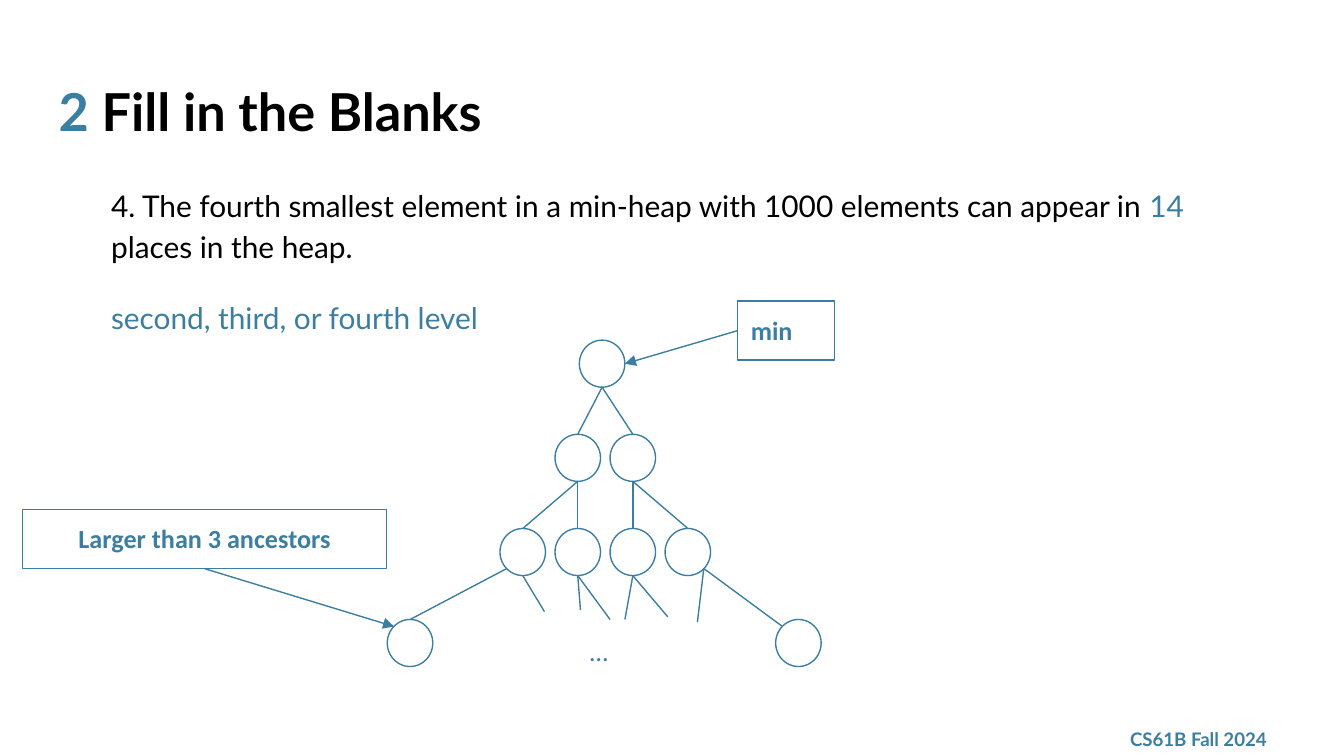
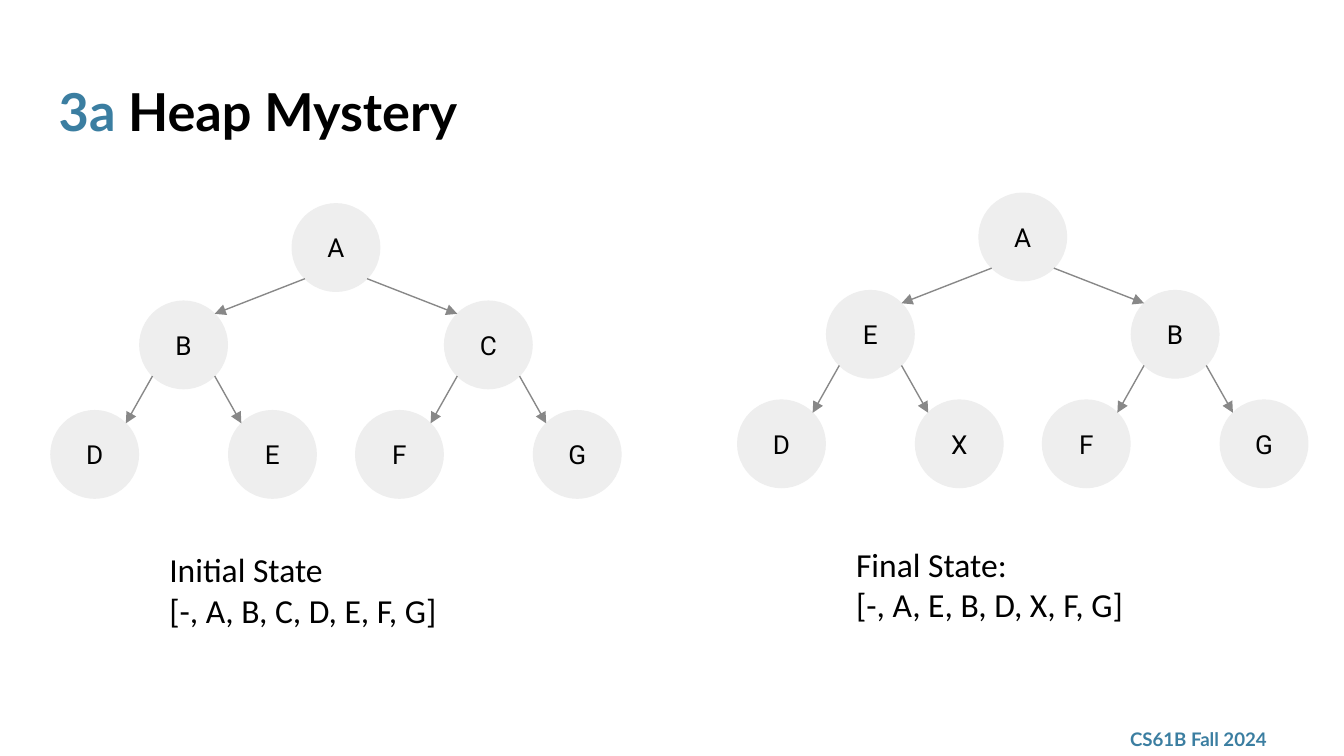
from dataclasses import dataclass

from lxml.etree import SubElement
from pptx import Presentation
from pptx.dml.color import RGBColor
from pptx.enum.shapes import MSO_CONNECTOR as Connector, MSO_SHAPE as Shape
from pptx.enum.text import MSO_ANCHOR as Anchor, MSO_AUTO_SIZE as AutoSize, PP_ALIGN as Align
from pptx.oxml.ns import qn
from pptx.util import Cm, Pt


@dataclass(frozen=True)
class Style:
    font: str
    size: int
    bold: bool = False


@dataclass(frozen=True)
class Theme:
    # Colours
    accent: str = "3B7EA1"
    ink: str = "000000"
    node: str = "EEEEEE"
    arrow: str = "888888"
    # Type
    title: Style = Style("Lato", 28, True)
    body: Style = Style("Lato", 16)
    footer: Style = Style("Lato", 10, True)
    note: Style = Style("Calibri", 14)
    callout: Style = Style("Calibri", 14, True)
    caption: Style = Style("Calibri", 18)
    key: Style = Style("Roboto", 14)
    # Measures
    line: float = 0.75
    inset: float = 0.25


THEME = Theme()

# Connection points as fractions of a shape's width and height
RIM = {
    "top": (0.5, 0), "bottom": (0.5, 1), "left": (0, 0.5), "right": (1, 0.5),
    "top left": (0.15, 0.15), "top right": (0.85, 0.15),
    "bottom left": (0.15, 0.85), "bottom right": (0.85, 0.85),
}


# Text

def write(text_frame, paragraphs, style, align=Align.LEFT, anchor=Anchor.TOP):
    """Fill a frame; each paragraph is a list of (text, colour) runs."""
    text_frame.word_wrap = True
    text_frame.auto_size = AutoSize.NONE
    text_frame.vertical_anchor = anchor
    text_frame.margin_left = text_frame.margin_right = Cm(THEME.inset)
    text_frame.margin_top = text_frame.margin_bottom = Cm(THEME.inset)
    for index, runs in enumerate(paragraphs):
        paragraph = text_frame.add_paragraph() if index else text_frame.paragraphs[0]
        paragraph.alignment = align
        for text, colour in runs:
            run = paragraph.add_run()
            run.text = text
            run.font.name = style.font
            run.font.size = Pt(style.size)
            run.font.bold = style.bold
            run.font.color.rgb = RGBColor.from_string(colour)


def place(shape, left, top, width, height):
    shape.left, shape.top = Cm(left), Cm(top)
    shape.width, shape.height = Cm(width), Cm(height)


def add_title(slide, number, text):
    place(slide.shapes.title, 0.86, 1.24, 23.67, 1.6)
    runs = [(number, THEME.accent), (f" {text}", THEME.ink)]
    write(slide.shapes.title.text_frame, [runs], THEME.title)


def add_body(slide, paragraphs):
    body = slide.placeholders[1]
    place(body, 1.85, 3.2, 21.01, 3.38)
    write(body.text_frame, paragraphs, THEME.body)
    for index, paragraph in enumerate(body.text_frame.paragraphs):
        paragraph.line_spacing = 1.15
        paragraph.space_before = paragraph.space_after = Pt(16 if index else 0)
        properties = paragraph._p.get_or_add_pPr()
        properties.set("marL", "0")
        properties.set("indent", "0")
        SubElement(properties, qn("a:buNone"))


def add_text(slide, box, lines, style, colour, anchor=Anchor.TOP):
    text_box = slide.shapes.add_textbox(*map(Cm, box))
    write(text_box.text_frame, [[(line, colour)] for line in lines], style, anchor=anchor)
    return text_box


def add_master_footer(presentation, slide, text):
    """Build the footer once and hand it over to the slide master."""
    footer = add_text(slide, (21.11, 13.64, 3.43, 0.66), [text],
                      THEME.footer, THEME.accent, Anchor.MIDDLE)
    footer.element.nvSpPr.cNvPr.set("id", "20")
    master_shapes = presentation.slide_master.shapes.element
    master_shapes.insert_element_before(footer.element, "p:extLst")


# Shapes and lines

def add_figure(slide, kind, box, fill=None, line=None):
    shape = slide.shapes.add_shape(kind, *map(Cm, box))
    shape.shadow.inherit = False
    if fill:
        shape.fill.solid()
        shape.fill.fore_color.rgb = RGBColor.from_string(fill)
    else:
        shape.fill.background()
    if line:
        shape.line.color.rgb = RGBColor.from_string(line)
        shape.line.width = Pt(THEME.line)
    else:
        shape.line.fill.background()
    return shape


def add_callout(slide, box, text, align=Align.LEFT):
    callout = add_figure(slide, Shape.RECTANGLE, box, line=THEME.accent)
    write(callout.text_frame, [[(text, THEME.accent)]], THEME.callout, align)
    return callout


def rim(shape, side):
    across, down = RIM[side]
    return int(shape.left + across * shape.width), int(shape.top + down * shape.height)


def add_line(slide, start, end, colour, arrow=False):
    connector = slide.shapes.add_connector(Connector.STRAIGHT, *start, *end)
    connector.line.color.rgb = RGBColor.from_string(colour)
    connector.line.width = Pt(THEME.line)
    properties = connector.element.spPr
    if arrow:
        SubElement(properties.find(qn("a:ln")), qn("a:tailEnd"), type="triangle")
    SubElement(properties, qn("a:effectLst"))


# Diagrams

def add_heap_levels(slide):
    """Outline of the top four levels of a large min-heap."""
    width, height, first_column, first_row = 0.86, 0.89, 9.45, 6.43
    column_step, row_step = 1.04, 1.78

    def add_node(left, top):
        return add_figure(slide, Shape.OVAL, (left, top, width, height), line=THEME.accent)

    def add_row(row, columns):
        return [add_node(first_column + column * column_step, first_row + row * row_step)
                for column in columns]

    root = add_node(10.95, first_row)
    second = add_row(1, (1, 2))
    third = add_row(2, range(4))
    left_leaf, right_leaf = (add_node(left, 11.71) for left in (7.32, 14.66))

    edges = [(root, "bottom", child, "top") for child in second]
    edges += [(second[index // 2], "bottom", child, "top")
              for index, child in enumerate(third)]
    edges += [(third[0], "bottom left", left_leaf, "top"),
              (third[3], "bottom right", right_leaf, "top left")]
    for parent, parent_side, child, child_side in edges:
        add_line(slide, rim(parent, parent_side), rim(child, child_side), THEME.accent)

    # Open edges towards the nodes left out
    stubs = [
        (0, "bottom", 10.29, 11.56),
        (1, "bottom", 10.97, 11.53), (1, "bottom", 11.53, 11.71),
        (2, "bottom", 11.81, 11.71), (2, "bottom", 12.62, 11.66),
        (3, "bottom right", 13.18, 11.76),
    ]
    for parent, side, x, y in stubs:
        add_line(slide, rim(third[parent], side), (Cm(x), Cm(y)), THEME.accent)
    add_text(slide, (10.9, 11.76, 1.04, 1.12), ["…"], THEME.note, THEME.accent)
    return root, left_leaf


def add_lettered_heap(slide, left, top, keys):
    """Three-level heap; left and top place its root, keys are in level order."""
    size = 1.68
    child_offsets = [(2.88, 1.84), (size, 2.07)]
    positions = [(left, top)]
    for level, (across, down) in enumerate(child_offsets):
        for x, y in positions[2 ** level - 1:]:
            positions += [(x - across, y + down), (x + across, y + down)]

    nodes = []
    for key, (x, y) in zip(keys, positions):
        node = add_figure(slide, Shape.OVAL, (x, y, size, size), fill=THEME.node)
        write(node.text_frame, [[(key, THEME.ink)]], THEME.key, Align.CENTER, Anchor.MIDDLE)
        nodes.append(node)
    for index, child in enumerate(nodes[1:]):
        side, opposite = ("right", "left") if index % 2 else ("left", "right")
        add_line(slide, rim(nodes[index // 2], f"bottom {side}"),
                 rim(child, f"top {opposite}"), THEME.arrow, arrow=True)


# Slides

def build_blanks_slide(slide):
    add_title(slide, "2", "Fill in the Blanks")
    add_body(slide, [
        [("4. The fourth smallest element in a min-heap with 1000 elements can appear in ",
          THEME.ink), ("14", THEME.accent), (" places in the heap.", THEME.ink)],
        [("second, third, or fourth level", THEME.accent)],
    ])
    root, left_leaf = add_heap_levels(slide)
    minimum = add_callout(slide, (13.94, 5.69, 1.83, 1.12), "min")
    add_line(slide, rim(minimum, "left"), rim(root, "right"), THEME.accent, arrow=True)
    larger = add_callout(slide, (0.43, 9.63, 6.88, 1.12), "Larger than 3 ancestors",
                         Align.CENTER)
    add_line(slide, rim(larger, "bottom"), rim(left_leaf, "top left"),
             THEME.accent, arrow=True)


def build_mystery_slide(slide):
    add_title(slide, "3a", "Heap Mystery")
    states = [
        ("Initial State", "ABCDEFG", (5.51, 3.84), (2.95, 10.13)),
        ("Final State:", "AEBDXFG", (18.49, 3.64), (15.93, 10.03)),
    ]
    for name, keys, root, caption in states:
        add_lettered_heap(slide, *root, keys)
        add_text(slide, (*caption, 6.81, 2.82), [name, f"[-, {', '.join(keys)}]"],
                 THEME.caption, THEME.ink)


def main():
    presentation = Presentation()
    presentation.slide_width, presentation.slide_height = Cm(25.4), Cm(14.29)
    layouts = presentation.slide_layouts
    blanks = presentation.slides.add_slide(layouts.get_by_name("Title and Content"))
    mystery = presentation.slides.add_slide(layouts.get_by_name("Title Only"))
    add_master_footer(presentation, blanks, "CS61B Fall 2024")
    build_blanks_slide(blanks)
    build_mystery_slide(mystery)
    presentation.save("out.pptx")


if __name__ == "__main__":
    main()
